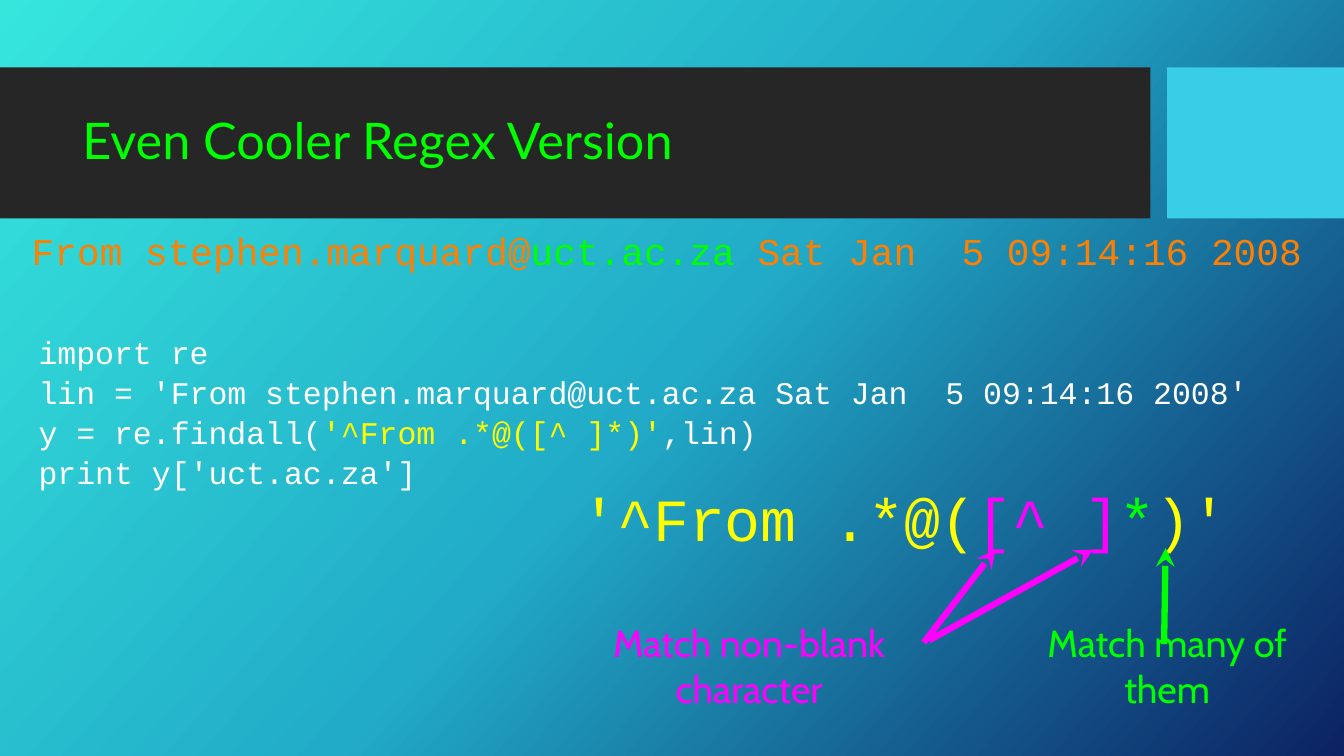
import copy

import pptx
import pptx.dml.color
import pptx.enum.shapes
import pptx.enum.text
import pptx.oxml.ns
import pptx.util
from lxml import etree

RGB = pptx.dml.color.RGBColor
BAND = RGB(0x26, 0x26, 0x26)
ACCENT = RGB(0x39, 0xCD, 0xE7)
GREEN = RGB(0x00, 0xFF, 0x00)
ORANGE = RGB(0xFF, 0x7F, 0x00)
WHITE = RGB(0xFF, 0xFF, 0xFF)
YELLOW = RGB(0xFF, 0xFF, 0x00)
MAGENTA = RGB(0xFF, 0x00, 0xFF)
BACKGROUND = [
    (0, RGB(0x36, 0xE6, 0xDD)),
    (0.5, RGB(0x21, 0xAB, 0xC8)),
    (1, RGB(0x0C, 0x22, 0x63)),
]
MONO, LABEL, HEADING = "Courier New", "Cabin", "Lato"
PX_PER_INCH = 100
ANCHOR = pptx.enum.text.MSO_ANCHOR
ALIGN = pptx.enum.text.PP_ALIGN
AUTO_SIZE = pptx.enum.text.MSO_AUTO_SIZE


def px(length):
    return pptx.util.Emu(length * 914400 // PX_PER_INCH)


def paint_background(slide):
    fill = slide.background.fill
    fill.gradient()
    fill.gradient_angle = 360 - 42
    stop_list = slide.element.find(".//" + pptx.oxml.ns.qn("a:gsLst"))
    stop_list.insert(1, copy.deepcopy(stop_list[0]))
    for stop, (position, color) in zip(fill.gradient_stops, BACKGROUND):
        stop.position = position
        stop.color.rgb = color


def write_runs(paragraph, runs, font, size):
    for text, color in runs:
        run = paragraph.add_run()
        run.text = text
        look = {"name": font, "size": pptx.util.Pt(size)}
        for attribute, value in look.items():
            setattr(run.font, attribute, value)
        run.font.color.rgb = color


def add_text(slide, box, lines, font, size, align=ALIGN.LEFT, grow=True, spacing=None):
    """Place lines, each a list of (text, colour) runs, centred vertically in box."""
    frame = slide.shapes.add_textbox(*map(px, box)).text_frame
    layout = {
        "word_wrap": not grow,
        "auto_size": AUTO_SIZE.SHAPE_TO_FIT_TEXT if grow else AUTO_SIZE.NONE,
        "vertical_anchor": ANCHOR.MIDDLE,
        "margin_left": 0,
        "margin_right": 0,
        "margin_top": 0,
        "margin_bottom": 0,
    }
    for attribute, value in layout.items():
        setattr(frame, attribute, value)
    for index, runs in enumerate(lines):
        paragraph = frame.add_paragraph() if index else frame.paragraphs[0]
        paragraph.alignment = align
        if spacing:
            paragraph.line_spacing = spacing
        write_runs(paragraph, runs, font, size)


def add_arrow(slide, tip, tail, color):
    arrow = slide.shapes.add_connector(
        pptx.enum.shapes.MSO_CONNECTOR.STRAIGHT, *map(px, tip + tail)
    )
    arrow.line.color.rgb = color
    arrow.line.width = pptx.util.Pt(6)
    head = etree.SubElement(arrow.line._get_or_add_ln(), pptx.oxml.ns.qn("a:headEnd"))
    head.set("type", "stealth")
    etree.SubElement(arrow.element.spPr, pptx.oxml.ns.qn("a:effectLst"))


def title_band(slide, box):
    left, top, width, height = box
    accent_width, gap = 234, 22
    band_width = width - accent_width - gap
    for x, part_width, color in (
        (left, band_width, BAND),
        (left + width - accent_width, accent_width, ACCENT),
    ):
        block = slide.shapes.add_shape(
            pptx.enum.shapes.MSO_SHAPE.RECTANGLE,
            *map(px, (x, top, part_width, height)),
        )
        block.shadow.inherit = False
        block.fill.solid()
        block.fill.fore_color.rgb = color
        block.line.fill.background()

    title = slide.shapes.title
    slide.shapes.element.append(title.element)  # in front of the band
    place = {"left": left + 99, "top": top + 21, "width": 1402, "height": 158}
    for attribute, value in place.items():
        setattr(title, attribute, px(value))
    frame = title.text_frame
    frame.word_wrap = True
    frame.vertical_anchor = ANCHOR.MIDDLE
    heading = frame.paragraphs[0]
    heading.alignment = ALIGN.LEFT
    heading.line_spacing = 0.9
    write_runs(heading, [("Even Cooler Regex Version", GREEN)], HEADING, 48)


def mail_line(slide, box):
    runs = [
        ("From stephen.marquard@", ORANGE),
        ("uct.ac.za", GREEN),
        (" Sat Jan  5 09:14:16 2008", ORANGE),
    ]
    add_text(slide, box, [runs], MONO, 36)


def code_sample(slide, box):
    lines = [
        [("import re", WHITE)],
        [("lin = 'From stephen.marquard@uct.ac.za Sat Jan  5 09:14:16 2008'", WHITE)],
        [("y = re.findall(", WHITE), ("'^From .*@([^ ]*)'", YELLOW), (",lin)", WHITE)],
        [("print y['uct.ac.za']", WHITE)],
    ]
    add_text(slide, box, lines, MONO, 30, grow=False, spacing=1.06)


def pattern_diagram(slide, box):
    """Show the pattern, with arrows from the two explanations below it."""
    left, top, width, height = box
    pattern = [("'^From .*@(", YELLOW), ("[^ ]", MAGENTA), ("*", GREEN), (")'", YELLOW)]
    add_text(slide, (left + 56, top, 864, 96), [pattern], MONO, 57)

    for x, label_width, text, color in (
        (0, 556, "Match non-blank character", MAGENTA),
        (617, 428, "Match many of them", GREEN),
    ):
        label_box = (left + x, top + height - 68, label_width, 68)
        add_text(slide, label_box, [[(text, color)]], LABEL, 36, ALIGN.CENTER)

    for tip, tail, color in (
        ((604, 90), (509, 213), MAGENTA),
        ((829, 88), (827, 215), GREEN),
        ((733, 90), (516, 210), MAGENTA),
    ):
        ends = [(left + x, top + y) for x, y in (tip, tail)]
        add_arrow(slide, *ends, color)


def main():
    deck = pptx.Presentation()
    deck.slide_width, deck.slide_height = px(1778), px(1000)
    slide = deck.slides.add_slide(deck.slide_layouts.get_by_name("Title Only"))
    paint_background(slide)
    title_band(slide, (0, 89, 1778, 200))
    mail_line(slide, (42, 294, 1693, 74))
    code_sample(slide, (51, 420, 1724, 247))
    pattern_diagram(slide, (713, 637, 1045, 277))
    deck.save("out.pptx")


if __name__ == "__main__":
    main()
